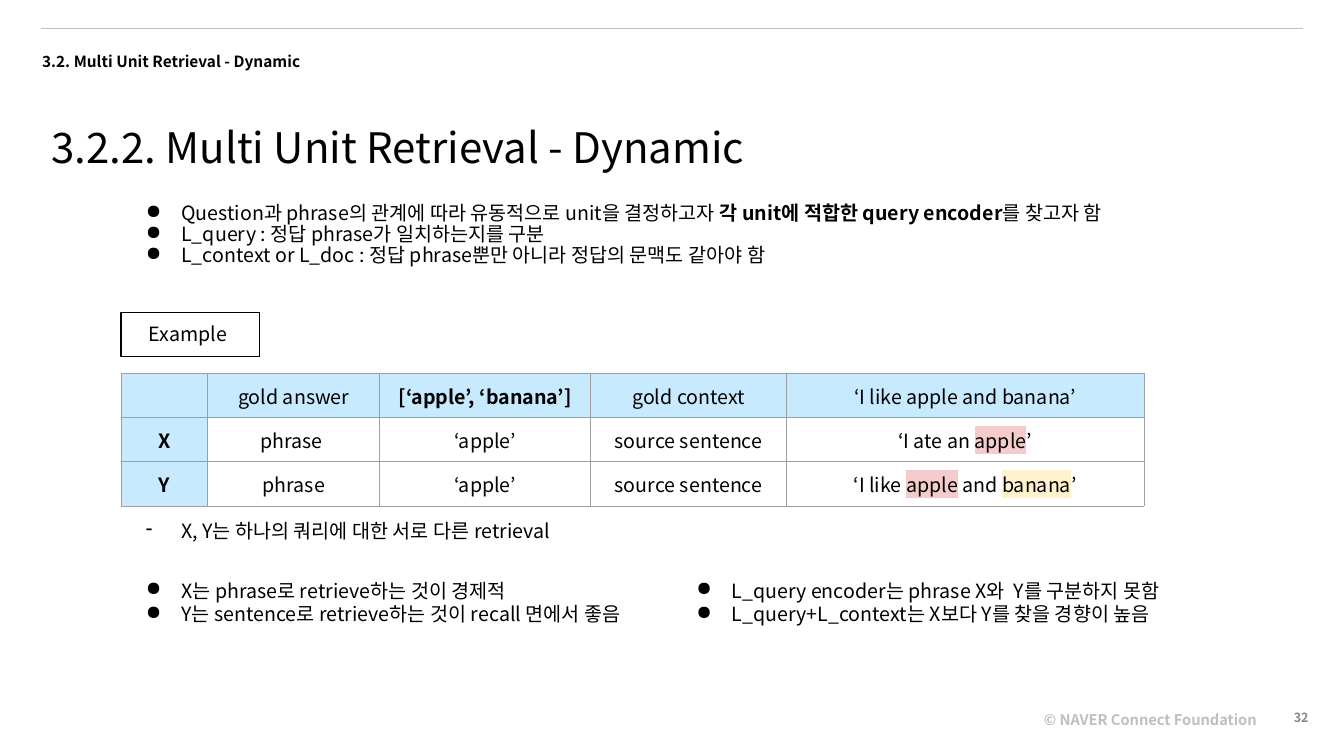
"""Build the slide on dynamic multi unit retrieval with its example table."""
from lxml.etree import SubElement
from pptx import Presentation
from pptx.dml.color import RGBColor
from pptx.enum.shapes import MSO_CONNECTOR, MSO_SHAPE
from pptx.enum.text import MSO_ANCHOR as Anchor, MSO_AUTO_SIZE as AutoSize, PP_ALIGN as Align
from pptx.oxml.ns import qn
from pptx.util import Cm, Pt

FONT = "Noto Sans CJK KR"
PINK, YELLOW = "F4CCCC", "FFF2CC"


def color(hex_code):
    return RGBColor.from_string(hex_code)


def write(frame, text, size=14, ink="000000", bold=False, align=Align.LEFT, anchor=Anchor.TOP,
          spacing=None, bullet=None, margin=0.25):
    """Fill a frame with paragraphs; a run is a string or (string, bold, highlight)."""
    frame.word_wrap = True
    frame.auto_size = AutoSize.NONE
    frame.vertical_anchor = anchor
    frame.margin_left = frame.margin_right = Cm(0.25)
    frame.margin_top = frame.margin_bottom = Cm(margin)
    for number, runs in enumerate([[text]] if isinstance(text, str) else text):
        paragraph = frame.add_paragraph() if number else frame.paragraphs[0]
        paragraph.alignment = align
        if spacing:
            paragraph.line_spacing = spacing
        if bullet:
            properties = paragraph._p.get_or_add_pPr()
            properties.set("marL", str(Cm(1.27)))
            properties.set("indent", str(-Cm(0.89)))
            bullet_color = SubElement(properties, qn("a:buClr"))
            SubElement(bullet_color, qn("a:srgbClr"), val=ink)
            SubElement(properties, qn("a:buChar"), char=bullet)
        for part in runs:
            words, strong, highlight = (part, bold, None) if isinstance(part, str) else part
            run = paragraph.add_run()
            run.text = words
            run.font.size = Pt(size)
            run.font.bold = strong
            run.font.color.rgb = color(ink)
            run_properties = run._r.get_or_add_rPr()
            if highlight:
                marker = SubElement(run_properties, qn("a:highlight"))
                SubElement(marker, qn("a:srgbClr"), val=highlight)
            run.font.name = FONT
            SubElement(run_properties, qn("a:ea"), typeface=FONT)


deck = Presentation()
deck.slide_width, deck.slide_height = Cm(33.87), Cm(19.05)
slide = deck.slides.add_slide(deck.slide_layouts[5])

title = slide.shapes.title
title.left, title.top, title.width, title.height = Cm(1.04), Cm(2.46), Cm(27.69), Cm(1.55)
write(title.text_frame, "3.2.2. Multi Unit Retrieval - Dynamic", size=30, spacing=1.38, margin=0.13)

header_rule = slide.shapes.add_connector(MSO_CONNECTOR.STRAIGHT, Cm(1.04), Cm(0.71), Cm(32.84), Cm(0.71))
header_rule.line.color.rgb = color("BFBFBF")
header_rule.line.width = Pt(0.75)
SubElement(header_rule._element.spPr, qn("a:effectLst"))

summary = [
    ["Question과 phrase의 관계에 따라 유동적으로 unit을 결정하고자 ",
     ("각 unit에 적합한 query encoder", True, None), "를 찾고자 함"],
    ["L_query : 정답 phrase가 일치하는지를 구분"],
    ["L_context or L_doc : 정답 phrase뿐만 아니라 정답의 문맥도 같아야 함"],
]
unit_findings = [["X는 phrase로 retrieve하는 것이 경제적"],
                 ["Y는 sentence로 retrieve하는 것이 recall 면에서 좋음"]]
encoder_findings = [["L_query encoder는 phrase X와  Y를 구분하지 못함"],
                    ["L_query+L_context는 X보다 Y를 찾을 경향이 높음"]]

texts = [
    (26.06, 17.73, 6.07, 0.71, "© NAVER Connect Foundation",
     dict(size=10.5, ink="BFBFBF", bold=True, spacing=1.1, margin=0.13)),
    (30.99, 17.58, 2.24, 1.02, "32",
     dict(size=9, ink="888888", bold=True, align=Align.RIGHT, anchor=Anchor.MIDDLE, margin=0.13)),
    (0.81, 0.76, 7.42, 0.74, "3.2. Multi Unit Retrieval - Dynamic",
     dict(size=11, bold=True, spacing=1.91, margin=0.13)),
    (3.05, 5, 29.21, 2.31, summary, dict(spacing=0.9, bullet="●", margin=0.13)),
    (3.05, 14.33, 17.45, 1.7, unit_findings, dict(bullet="●")),
    (16.92, 14.33, 13.72, 1.7, encoder_findings, dict(bullet="●")),
    (3.05, 12.83, 28.8, 1.12, "X, Y는 하나의 쿼리에 대한 서로 다른 retrieval", dict(bullet="-")),
]
for left, top, width, height, text, style in texts:
    box = slide.shapes.add_textbox(Cm(left), Cm(top), Cm(width), Cm(height))
    write(box.text_frame, text, **style)

example_label = slide.shapes.add_shape(MSO_SHAPE.RECTANGLE, Cm(3.05), Cm(7.87), Cm(3.48), Cm(1.12))
example_label.shadow.inherit = False
example_label.fill.background()
example_label.line.color.rgb = color("000000")
example_label.line.width = Pt(0.75)
write(example_label.text_frame, "Example ", align=Align.CENTER)

rows = [
    ["", "gold answer", [[("[‘apple’, ‘banana’]", True, None)]], "gold context",
     "‘I like apple and banana’"],
    ["X", "phrase ", "‘apple’", "source sentence",
     [["‘I ate an ", ("apple", False, PINK), "’"]]],
    ["Y", "phrase", "‘apple’", "source sentence",
     [["‘I like ", ("apple", False, PINK), " and ", ("banana", False, YELLOW), "’"]]],
]
column_widths = [2.19, 4.33, 5.32, 4.93, 9.01]
table = slide.shapes.add_table(len(rows), len(column_widths), Cm(3.05), Cm(9.42),
                               Cm(sum(column_widths)), Cm(1.11 * len(rows))).table
table.horz_banding = table.first_row = False
for column, width in zip(table.columns, column_widths):
    column.width = Cm(width)
for r, row in enumerate(rows):
    table.rows[r].height = Cm(1.11)
    for c, content in enumerate(row):
        cell = table.cell(r, c)
        cell.vertical_anchor = Anchor.MIDDLE
        if content:
            write(cell.text_frame, content, bold=c == 0, align=Align.CENTER)
        for side in ("lnL", "lnR", "lnT", "lnB"):
            border = SubElement(cell._tc.get_or_add_tcPr(), qn(f"a:{side}"), w=str(Pt(0.75)))
            SubElement(SubElement(border, qn("a:solidFill")), qn("a:srgbClr"), val="9E9E9E")
        if r == 0 or c == 0:
            cell.fill.solid()
            cell.fill.fore_color.rgb = color("C8E9FE" if c == 0 else "C8EAFF")
        else:
            cell.fill.background()

deck.save("out.pptx")
